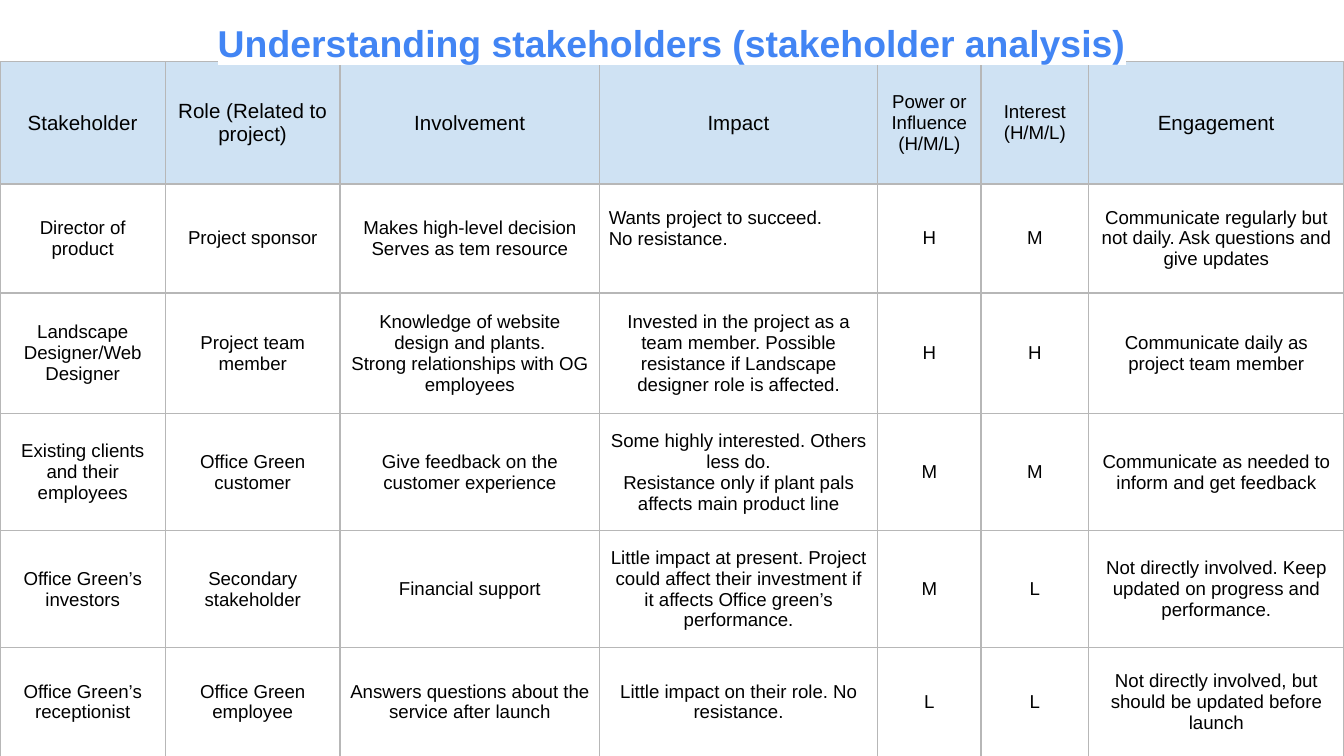
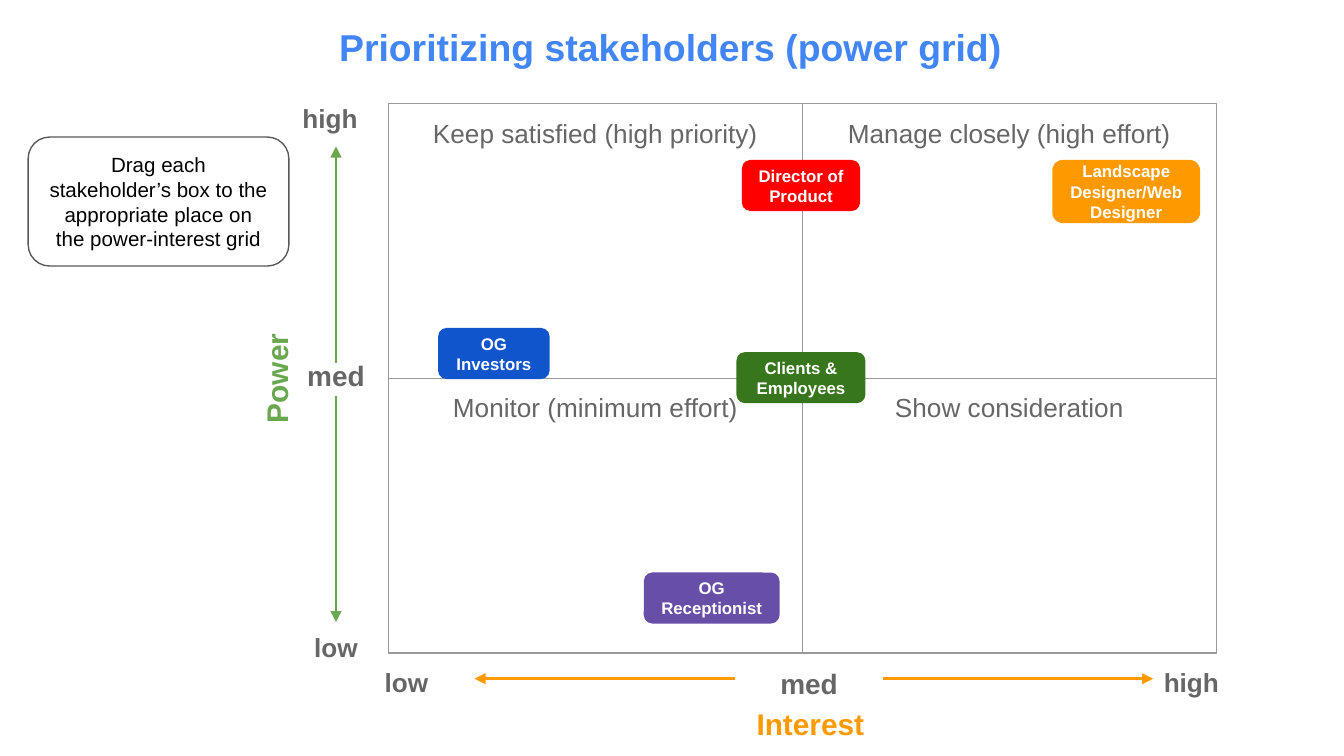
from lxml import etree
from pptx import Presentation
from pptx.dml.color import RGBColor
from pptx.enum.shapes import MSO_CONNECTOR, MSO_SHAPE
from pptx.enum.text import MSO_ANCHOR as ANCHOR, PP_ALIGN as ALIGN
from pptx.oxml.ns import qn
from pptx.util import Inches, Pt

FONT = "Arial"
BLUE, GREEN, ORANGE = "4285F4", "6AA84F", "FF9900"
GREY, BLACK, WHITE = "666666", "000000", "FFFFFF"
GRID, HEADER, BORDER, NOTE_LINE = "999999", "CFE2F3", "B7B7B7", "595959"

ANALYSIS_TITLE = "Understanding stakeholders (stakeholder analysis)"
COLUMNS = [
    ("Stakeholder", 1.23, 11),
    ("Role (Related to project)", 1.3, 11),
    ("Involvement", 1.93, 11),
    ("Impact", 2.07, 11),
    ("Power or Influence (H/M/L)", 0.77, 10),
    ("Interest (H/M/L)", 0.8, 10),
    ("Engagement", 1.9, 11),
]
ROW_HEIGHTS = [0.91, 0.81, 0.9, 0.87, 0.87, 0.81]
STAKEHOLDERS = [
    ("Director of product", "Project sponsor",
     "Makes high-level decision\nServes as tem resource",
     "Wants project to succeed.\nNo resistance.", "H", "M",
     "Communicate regularly but not daily. Ask questions and give updates"),
    ("Landscape Designer/Web Designer", "Project team member",
     "Knowledge of website design and plants.\nStrong relationships with OG employees",
     "Invested in the project as a team member. Possible resistance if "
     "Landscape designer role is affected.", "H", "H",
     "Communicate daily as project team member"),
    ("Existing clients and their employees", "Office Green customer",
     "Give feedback on the customer experience",
     "Some highly interested. Others less do.\n"
     "Resistance only if plant pals affects main product line", "M", "M",
     "Communicate as needed to inform and get feedback"),
    ("Office Green’s investors", "Secondary stakeholder", "Financial support",
     "Little impact at present. Project could affect their investment if it "
     "affects Office green’s performance.", "M", "L",
     "Not directly involved. Keep updated on progress and performance."),
    ("Office Green’s receptionist", "Office Green employee",
     "Answers questions about the service after launch",
     "Little impact on their role. No resistance.", "L", "L",
     "Not directly involved, but should be updated before launch"),
]
LEFT_ALIGNED = (1, 3)

GRID_TITLE = "Prioritizing stakeholders (power grid)"
QUADRANTS = [
    ["Keep satisfied (high priority)", "Manage closely (high effort)"],
    ["Monitor (minimum effort)", "Show consideration"],
]
GRID_LEFT, GRID_TOP, GRID_W, GRID_H = 2.89, 0.77, 6.16, 4.09
AXIS_LABELS = [
    ("Power", (1.6, 2.71, 0.91, 0.26),
     dict(size=16, color=GREEN, align=ALIGN.RIGHT, anchor=ANCHOR.MIDDLE), 270),
    ("high", (1.43, 0.66, 1.33, 0.26), dict(align=ALIGN.RIGHT), 0),
    ("low", (1.43, 4.6, 1.33, 0.26), dict(align=ALIGN.RIGHT), 0),
    ("med", (1.95, 2.57, 1.1, 0.38), dict(size=15), 0),
    ("low", (2.52, 4.86, 1.01, 0.38), {}, 0),
    ("med", (5.47, 4.86, 1.1, 0.38), dict(size=15), 0),
    ("high", (8.36, 4.86, 1.01, 0.38), {}, 0),
    ("Interest", (5.48, 5.15, 1.1, 0.47), dict(size=16, color=ORANGE), 0),
]
ARROWS = [
    ((2.5, 2.7), (2.5, 1.09), GREEN),
    ((2.5, 2.95), (2.5, 4.63), GREEN),
    ((6.57, 5.05), (8.58, 5.05), ORANGE),
    ((5.47, 5.05), (3.53, 5.05), ORANGE),
]
CHIPS = [
    ("Director of Product", (5.52, 1.19, 0.88, 0.38), "FF0000"),
    ("OG Investors", (3.26, 2.44, 0.83, 0.38), "1155CC"),
    ("Clients & Employees", (5.48, 2.62, 0.96, 0.38), "38761D"),
    ("OG Receptionist", (4.79, 4.26, 1.01, 0.38), "674EA7"),
    ("Landscape Designer/Web Designer", (7.83, 1.19, 1.1, 0.47), ORANGE),
]
NOTE = ("Drag each stakeholder’s box to the appropriate place on "
        "the power-interest grid")


def rgb(value):
    return RGBColor.from_string(value)


def put_text(tf, text, size=14, color=GREY, bold=False, align=ALIGN.CENTER,
             anchor=ANCHOR.TOP, spacing=None, highlight=None):
    tf.word_wrap = True
    tf.vertical_anchor = anchor
    tf.margin_left = tf.margin_right = tf.margin_top = tf.margin_bottom = Inches(0.1)
    for i, line in enumerate(text.split("\n")):
        p = tf.add_paragraph() if i else tf.paragraphs[0]
        p.alignment = align
        p.line_spacing = spacing
        r = p.add_run()
        r.text = line
        r.font.size, r.font.name, r.font.bold = Pt(size), FONT, bold
        r.font.color.rgb = rgb(color)
        if highlight:
            mark = etree.Element(qn("a:highlight"))
            etree.SubElement(mark, qn("a:srgbClr"), val=highlight)
            r.font._element.find(qn("a:solidFill")).addnext(mark)


def add_label(slide, text, box, rotation=0, **fmt):
    sp = slide.shapes.add_textbox(*map(Inches, box))
    sp.rotation = rotation
    put_text(sp.text_frame, text, **fmt)


def add_title(slide, text, box, **fmt):
    add_label(slide, text, box, size=20, color=BLUE, bold=True, **fmt)


def add_box(slide, kind, text, box, fill=None, line=None, **fmt):
    sp = slide.shapes.add_shape(kind, *map(Inches, box))
    sp.shadow.inherit = False
    if fill:
        sp.fill.solid()
        sp.fill.fore_color.rgb = rgb(fill)
    else:
        sp.fill.background()
    if line:
        sp.line.color.rgb = rgb(line)
        sp.line.width = Pt(0.75)
    else:
        sp.line.fill.background()
    put_text(sp.text_frame, text, **fmt)


def add_arrow(slide, start, end, color):
    line = slide.shapes.add_connector(MSO_CONNECTOR.STRAIGHT, *map(Inches, start + end))
    line.line.color.rgb = rgb(color)
    line.line.width = Pt(1.5)
    etree.SubElement(line.line._get_or_add_ln(), qn("a:tailEnd"), type="triangle")
    etree.SubElement(line._element.spPr, qn("a:effectLst"))


def format_cell(cell, text, size, fill=None, align=ALIGN.CENTER):
    put_text(cell.text_frame, text, size=size, color=BLACK, align=align)
    cell.vertical_anchor = ANCHOR.MIDDLE
    cell.margin_left = cell.margin_right = Inches(0.07)
    cell.margin_top = Inches(0.05)
    cell.margin_bottom = Inches(0.2 if align == ALIGN.LEFT else 0.05)
    tc_pr = cell._tc.get_or_add_tcPr()
    for side in ("lnL", "lnR", "lnT", "lnB"):
        ln = etree.SubElement(tc_pr, qn(f"a:{side}"), w=str(Pt(0.75)))
        solid = etree.SubElement(ln, qn("a:solidFill"))
        etree.SubElement(solid, qn("a:srgbClr"), val=BORDER)
    if fill:
        cell.fill.solid()
        cell.fill.fore_color.rgb = rgb(fill)
    else:
        cell.fill.background()


def build_analysis(slide):
    widths = [width for _, width, _ in COLUMNS]
    table = slide.shapes.add_table(
        len(ROW_HEIGHTS), len(COLUMNS), 0, Inches(0.46),
        Inches(sum(widths)), Inches(sum(ROW_HEIGHTS))).table
    table.first_row = table.horz_banding = False
    for row, height in zip(table.rows, ROW_HEIGHTS):
        row.height = Inches(height)
    for c, (heading, width, size) in enumerate(COLUMNS):
        table.columns[c].width = Inches(width)
        format_cell(table.cell(0, c), heading, size, fill=HEADER)
    for r, values in enumerate(STAKEHOLDERS, 1):
        for c, value in enumerate(values):
            align = ALIGN.LEFT if (r, c) == LEFT_ALIGNED else ALIGN.CENTER
            format_cell(table.cell(r, c), value, 10, align=align)
    add_title(slide, ANALYSIS_TITLE, (0, 0, 10, 0.54), spacing=1.15, highlight=WHITE)


def build_power_grid(slide):
    w, h = GRID_W / 2, GRID_H / 2
    for r, names in enumerate(QUADRANTS):
        for c, name in enumerate(names):
            box = (GRID_LEFT + c * w, GRID_TOP + r * h, w, h)
            add_box(slide, MSO_SHAPE.RECTANGLE, name, box, line=GRID)
    for arrow in ARROWS:
        add_arrow(slide, *arrow)
    for text, box, fmt, rotation in AXIS_LABELS:
        add_label(slide, text, box, rotation, bold=True, **fmt)
    add_title(slide, GRID_TITLE, (-0.01, 0.08, 10, 0.49))
    for name, box, fill in CHIPS:
        add_box(slide, MSO_SHAPE.ROUNDED_RECTANGLE, name, box, fill=fill,
                size=9, color=WHITE, bold=True, anchor=ANCHOR.MIDDLE)
    add_box(slide, MSO_SHAPE.ROUNDED_RECTANGLE, NOTE, (0.21, 1.02, 1.94, 0.96),
            line=NOTE_LINE, size=11, color=BLACK, anchor=ANCHOR.MIDDLE)


def main():
    prs = Presentation()
    prs.slide_width = Inches(10)
    prs.slide_height = prs.slide_width * 9 // 16
    for build in (build_analysis, build_power_grid):
        build(prs.slides.add_slide(prs.slide_layouts[6]))
    prs.save("out.pptx")


if __name__ == "__main__":
    main()
